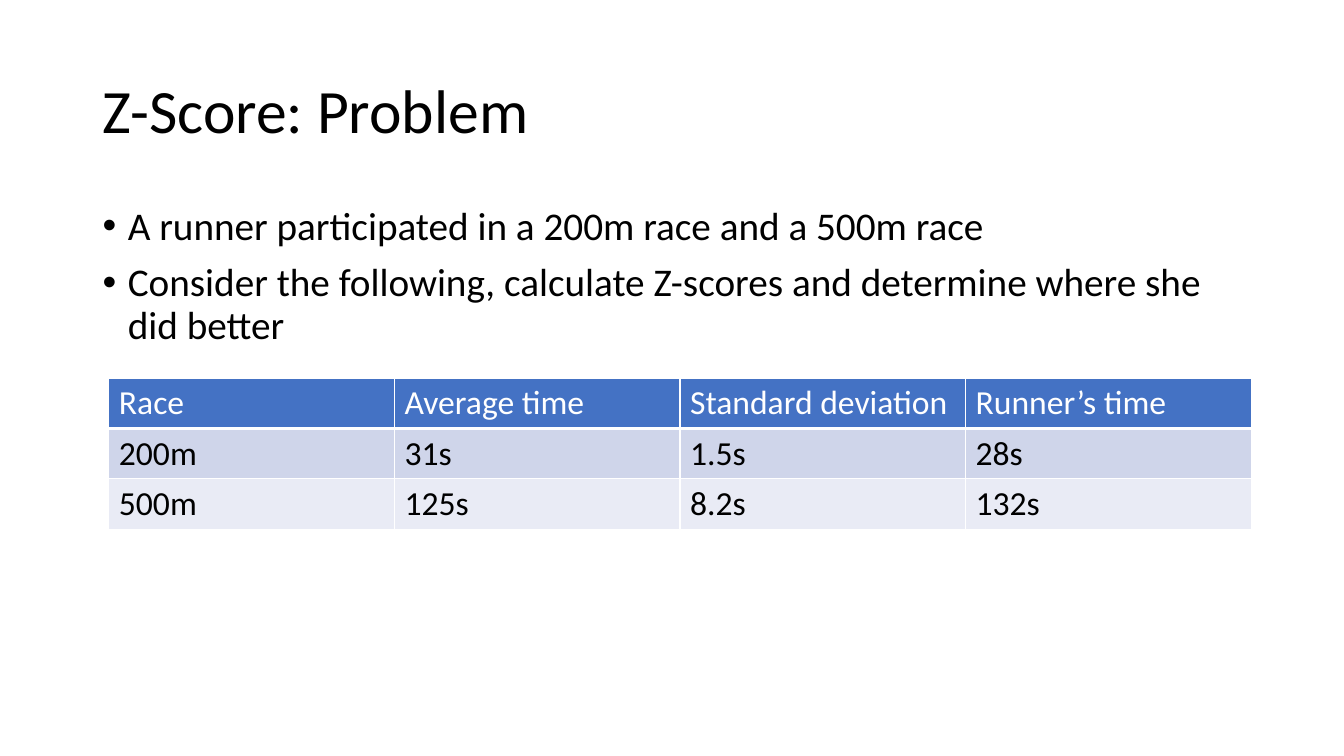
import pptx
import pptx.util
import pptx.dml.color
import pptx.enum.text
import pptx.oxml
import pptx.oxml.ns
from lxml import etree

Inches = pptx.util.Inches
Pt = pptx.util.Pt
RGBColor = pptx.dml.color.RGBColor
qn = pptx.oxml.ns.qn

TITLE = "Z-Score: Problem"
BULLETS = [
    "A runner participated in a 200m race and a 500m race",
    "Consider the following, calculate Z-scores and determine where she did better",
]
RACES = [
    ("Race", "Average time", "Standard deviation", "Runner’s time"),
    ("200m", "31s", "1.5s", "28s"),
    ("500m", "125s", "8.2s", "132s"),
]

FONT = "Calibri"
BLACK = RGBColor(0x00, 0x00, 0x00)
WHITE = RGBColor(0xFF, 0xFF, 0xFF)
HEADER_BLUE = RGBColor(0x44, 0x72, 0xC4)
BAND_DARK = RGBColor(0xCF, 0xD5, 0xEA)
BAND_LIGHT = RGBColor(0xE9, 0xEB, 0xF5)
ROW_FILLS = [HEADER_BLUE, BAND_DARK, BAND_LIGHT]

LEFT, WIDTH = 0.92, 11.5
TABLE_LEFT, TABLE_TOP, TABLE_WIDTH, ROW_HEIGHT = 1.08, 3.75, 11.33, 0.5


def format_para(para, size, color):
    para.alignment = pptx.enum.text.PP_ALIGN.LEFT
    for span in para.runs:
        span.font.name = FONT
        span.font.size = Pt(size)
        span.font.bold = False
        span.font.color.rgb = color


def place(shape, top, height):
    shape.left, shape.top = Inches(LEFT), Inches(top)
    shape.width, shape.height = Inches(WIDTH), Inches(height)


def add_bullet(para):
    properties = para._p.get_or_add_pPr()
    properties.set("marL", str(Inches(0.25)))
    properties.set("indent", str(Inches(-0.25)))
    etree.SubElement(properties, qn("a:buFont")).set("typeface", "Arial")
    etree.SubElement(properties, qn("a:buChar")).set("char", "•")


def add_borders(cell, bottom_width):
    properties = cell._tc.get_or_add_tcPr()
    sides = {"lnL": 1, "lnR": 1, "lnT": 1, "lnB": bottom_width}
    for position, (side, width) in enumerate(sides.items()):
        line = etree.Element(qn("a:" + side), w=str(Pt(width)))
        fill = etree.SubElement(line, qn("a:solidFill"))
        etree.SubElement(fill, qn("a:srgbClr")).set("val", str(WHITE))
        properties.insert(position, line)


def add_title(page):
    title = page.shapes.title
    place(title, 0.4, 1.45)
    frame = title.text_frame
    frame.text = TITLE
    frame.auto_size = pptx.enum.text.MSO_AUTO_SIZE.NONE
    frame.vertical_anchor = pptx.enum.text.MSO_ANCHOR.MIDDLE
    frame.paragraphs[0].line_spacing = 0.9
    format_para(frame.paragraphs[0], 44, BLACK)


def add_body(page):
    box = page.shapes.add_textbox(0, 0, 0, 0)
    place(box, 2, 4.76)
    frame = box.text_frame
    frame.word_wrap = True
    frame.text = "\n".join(BULLETS)
    for para in frame.paragraphs:
        format_para(para, 28, BLACK)
        para.line_spacing = 0.9
        para.space_before = Pt(10)
        add_bullet(para)


def add_race_table(page):
    table = page.shapes.add_table(
        len(RACES), len(RACES[0]), Inches(TABLE_LEFT), Inches(TABLE_TOP),
        Inches(TABLE_WIDTH), Inches(ROW_HEIGHT * len(RACES))).table
    for row, values in enumerate(RACES):
        for column, value in enumerate(values):
            cell = table.cell(row, column)
            cell.text = value
            cell.fill.solid()
            cell.fill.fore_color.rgb = ROW_FILLS[row]
            format_para(cell.text_frame.paragraphs[0], 24, BLACK if row else WHITE)
            add_borders(cell, 1 if row else 3)


def main():
    deck = pptx.Presentation()
    deck.slide_width, deck.slide_height = Inches(13.33), Inches(7.5)
    page = deck.slides.add_slide(deck.slide_layouts.get_by_name("Title Only"))
    add_title(page)
    add_body(page)
    add_race_table(page)
    deck.save("out.pptx")


if __name__ == "__main__":
    main()
